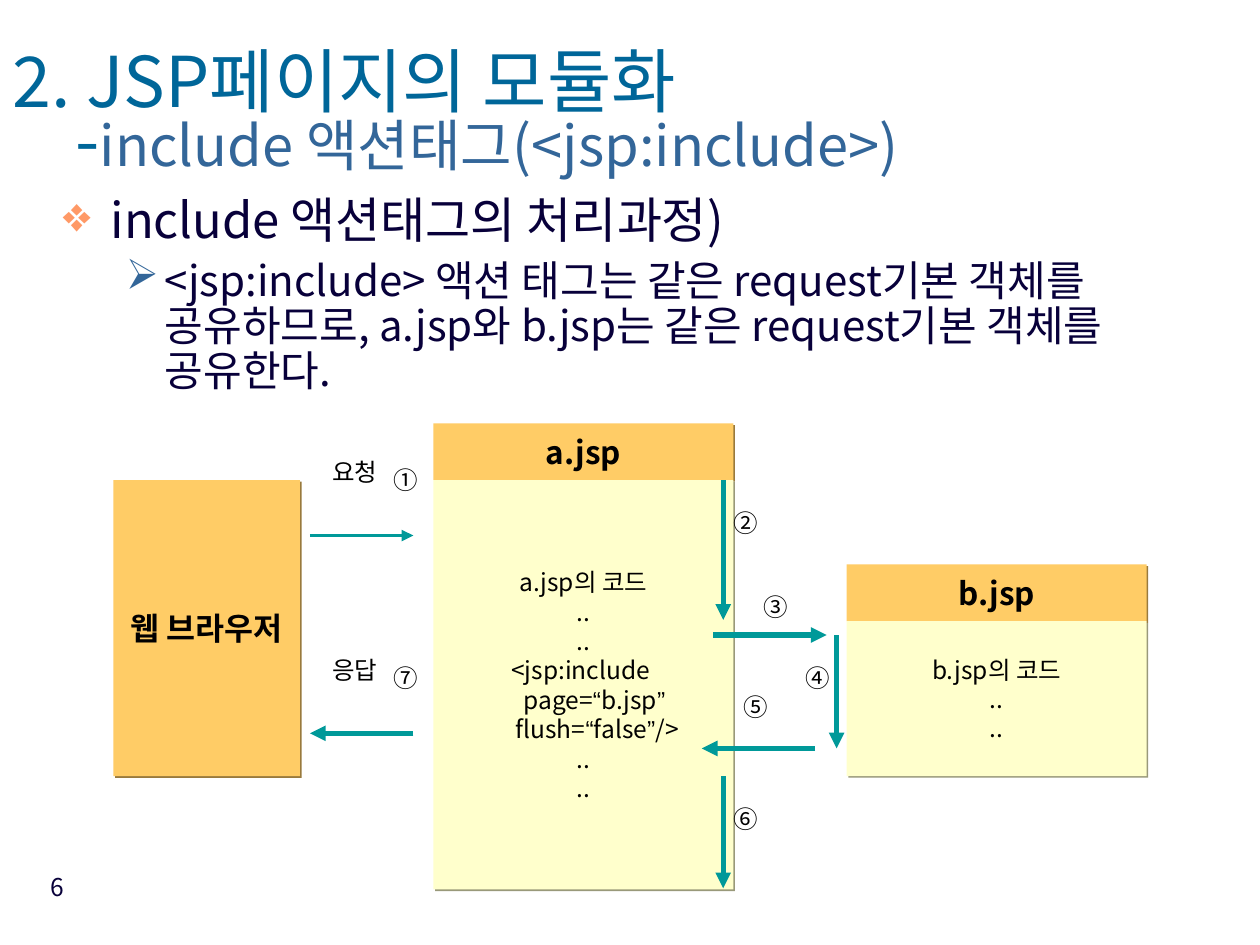
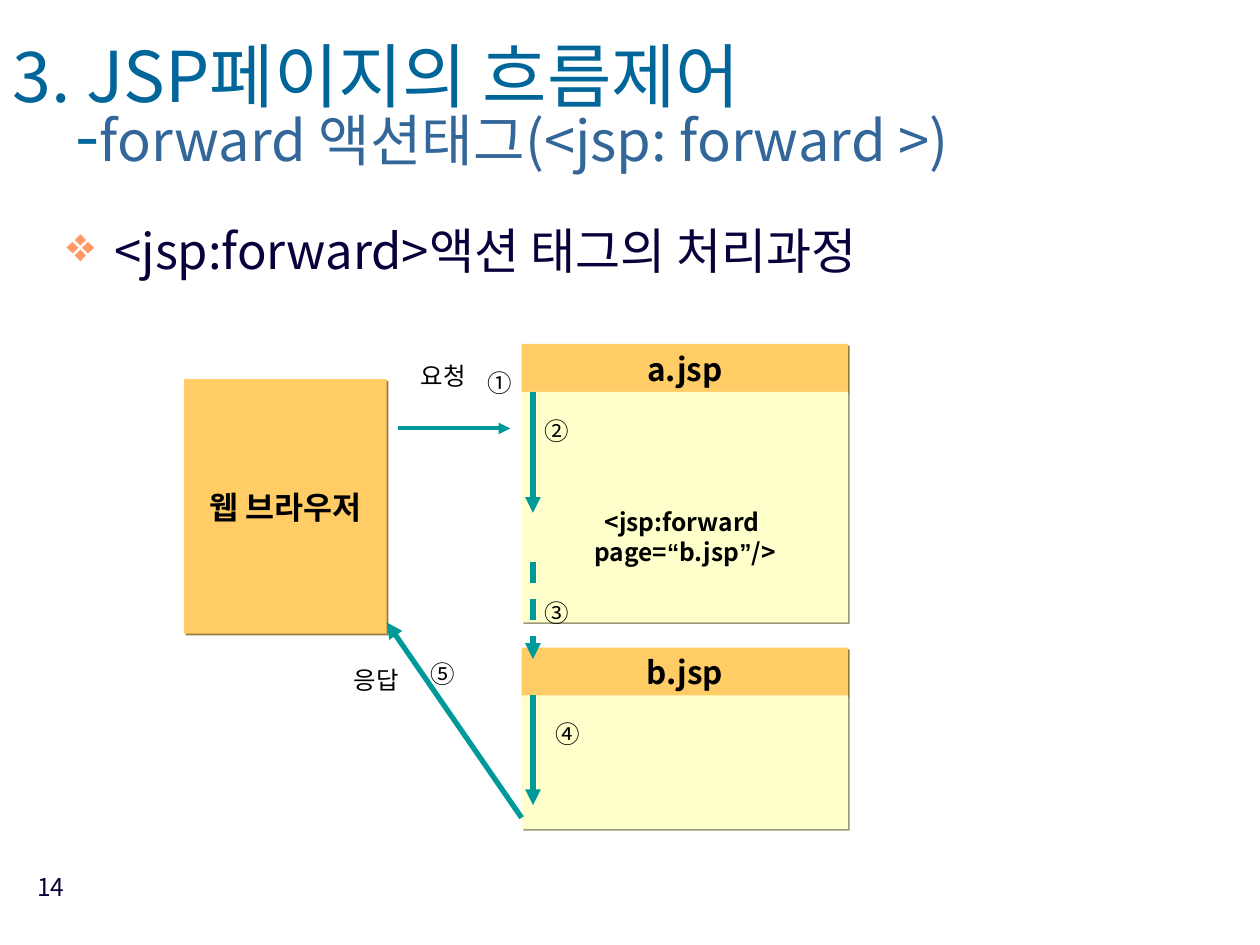
from itertools import groupby

from lxml import etree
from pptx import Presentation
from pptx.dml.color import RGBColor
from pptx.enum.dml import MSO_LINE
from pptx.enum.shapes import MSO_CONNECTOR, MSO_SHAPE
from pptx.enum.text import MSO_ANCHOR, MSO_AUTO_SIZE, PP_ALIGN
from pptx.oxml.ns import qn
from pptx.util import Inches, Pt

RECTANGLE = MSO_SHAPE.RECTANGLE
STRAIGHT = MSO_CONNECTOR.STRAIGHT
MIDDLE = MSO_ANCHOR.MIDDLE
CENTER, LEFT, RIGHT = PP_ALIGN.CENTER, PP_ALIGN.LEFT, PP_ALIGN.RIGHT
DASH = MSO_LINE.DASH
NO_AUTOFIT = MSO_AUTO_SIZE.NONE

FONT = "Noto Sans CJK KR"
QUOTE_FONT = "Arial"
TITLE_BLUE = RGBColor(0x00, 0x66, 0x99)
SUBTITLE_BLUE = RGBColor(0x33, 0x66, 0x99)
NAVY = RGBColor(0x08, 0x00, 0x3A)
BLACK = RGBColor(0x01, 0x00, 0x00)
TEAL = RGBColor(0x00, 0x99, 0x99)
BULLET_ORANGE = RGBColor(0xFF, 0x99, 0x66)
ORANGE = RGBColor(0xFF, 0xCC, 0x66)
CREAM = RGBColor(0xFF, 0xFF, 0xCC)
SHADOWS = {ORANGE: RGBColor(0x99, 0x7A, 0x3D), CREAM: RGBColor(0x99, 0x99, 0x7A)}

# Bullet levels: sign, sign colour, left margin, hanging indent, text size
BULLETS = [("❖", BULLET_ORANGE, 0.38, 0.38, 28), ("➢", SUBTITLE_BLUE, 0.81, 0.31, 24)]

# Boxes: left, top, width, height, fill, lines, extra space above the text
# Arrows: start, end, width in points, dashed
# Words and step numbers: text, left, top
PAGES = [
    {
        "number": "6",
        "title": ("2. JSP페이지의 모듈화", "include 액션태그(<jsp:include>)"),
        "title_height": 1.34,
        "body": (0.4, 1.51, 1.81, 0.9),
        "points": [
            "include 액션태그의 처리과정)",
            "<jsp:include> 액션 태그는 같은 request기본 객체를 공유하므로, "
            "a.jsp와 b.jsp는 같은 request기본 객체를 공유한다.",
        ],
        "code_bold": False,
        "boxes": [
            (0.9, 3.81, 1.48, 2.35, ORANGE, ["웹 브라우저"], 0),
            (3.44, 3.36, 2.38, 0.45, ORANGE, ["a.jsp"], 0),
            (3.44, 3.81, 2.38, 3.25, CREAM,
             ["a.jsp의 코드", "..", "..", "<jsp:include ", "     page=“b.jsp” ",
              "     flush=“false”/>", "..", ".."], 0),
            (6.72, 4.48, 2.38, 0.45, ORANGE, ["b.jsp"], 0),
            (6.72, 4.93, 2.38, 1.23, CREAM, ["b.jsp의 코드", "..", ".."], 0),
        ],
        "arrows": [
            ((2.46, 4.25), (3.28, 4.25), 2.25, False),
            ((3.28, 5.82), (2.46, 5.82), 3, False),
            ((5.74, 3.81), (5.74, 4.92), 3, False),
            ((5.66, 5.04), (6.56, 5.04), 3, False),
            ((6.47, 5.94), (5.57, 5.94), 3, False),
            ((6.64, 5.04), (6.64, 5.94), 3, False),
            ((5.74, 6.16), (5.74, 7.05), 3, False),
        ],
        "words": [("요청", 2.54, 3.58), ("응답", 2.54, 5.15)],
        "steps": [("①", 3.12, 3.69), ("②", 5.82, 4.03), ("③", 6.06, 4.7),
                  ("④", 6.39, 5.26), ("⑤", 5.9, 5.49), ("⑥", 5.82, 6.38),
                  ("⑦", 3.12, 5.26)],
    },
    {
        "number": "14",
        "title": ("3. JSP페이지의 흐름제어", "forward 액션태그(<jsp: forward >)"),
        "title_height": 1.26,
        "body": (0.43, 1.7, 0.79, 1.0),
        "points": ["<jsp:forward>액션 태그의 처리과정"],
        "code_bold": True,
        "boxes": [
            (1.46, 3.01, 1.61, 2.02, ORANGE, ["웹 브라우저"], 0),
            (4.14, 2.73, 2.59, 0.39, ORANGE, ["a.jsp"], 0),
            (4.14, 3.11, 2.59, 1.83, CREAM, ["<jsp:forward ", "page=“b.jsp”/>"], 0.47),
            (4.14, 5.14, 2.59, 0.39, ORANGE, ["b.jsp"], 0),
            (4.14, 5.52, 2.59, 1.06, CREAM, [], 0),
        ],
        "arrows": [
            ((3.16, 3.4), (4.05, 3.4), 2.25, False),
            ((4.23, 3.11), (4.23, 4.07), 3, False),
            ((4.14, 6.49), (3.07, 4.94), 3, False),
            ((4.23, 5.52), (4.23, 6.39), 3, False),
            ((4.23, 4.46), (4.23, 5.23), 3, True),
        ],
        "words": [("요청", 3.24, 2.82), ("응답", 2.71, 5.23)],
        "steps": [("①", 3.87, 2.92), ("②", 4.32, 3.3), ("③", 4.32, 4.75),
                  ("④", 4.41, 5.71), ("⑤", 3.42, 5.23)],
    },
]


def add_element(parent, tag, **attributes):
    element = etree.SubElement(parent, qn(tag))
    for name, value in attributes.items():
        element.set(name, str(value))
    return element


def write(paragraph, text, size=14, color=BLACK, bold=False, align=LEFT):
    """Add text to a paragraph, with curly quotes in their own font."""
    paragraph.alignment = align
    for is_quote, letters in groupby(text, key=lambda letter: letter in "“”"):
        span = paragraph.add_run()
        span.text = "".join(letters)
        span.font.size = Pt(size)
        span.font.bold = bold
        span.font.color.rgb = color
        span.font.name = QUOTE_FONT if is_quote else FONT
        add_element(span.font._element, "a:ea", typeface=span.font.name)


deck = Presentation()
deck.slide_width, deck.slide_height = Inches(10), Inches(7.5)

for content in PAGES:
    page = deck.slides.add_slide(deck.slide_layouts[5])

    # Title and page number
    title = page.shapes.title
    title.left, title.top = Inches(0), Inches(0.28)
    title.width, title.height = Inches(8.54), Inches(content["title_height"])
    title.text_frame.auto_size = NO_AUTOFIT
    title.text_frame.vertical_anchor = MIDDLE
    heading, subheading = content["title"]
    paragraph = title.text_frame.paragraphs[0]
    paragraph.line_spacing = 0.7
    write(paragraph, heading, size=40, color=TITLE_BLUE)
    line_break = add_element(paragraph._p, "a:br")
    add_element(line_break, "a:rPr", sz=4000)
    write(paragraph, "\t-", size=40, color=TITLE_BLUE)
    write(paragraph, subheading, size=32, color=SUBTITLE_BLUE)

    box = page.shapes.add_textbox(Inches(0.14), Inches(6.87), Inches(0.47), Inches(0.52))
    box.text_frame.word_wrap = True
    write(box.text_frame.paragraphs[0], content["number"], color=NAVY, align=RIGHT)

    # Bulleted points
    left, top, height, line_spacing = content["body"]
    body = page.shapes.add_textbox(Inches(left), Inches(top), Inches(9.21), Inches(height))
    frame = body.text_frame
    frame.word_wrap = True
    for level, point in enumerate(content["points"]):
        sign, sign_color, margin, hanging, size = BULLETS[level]
        paragraph = frame.add_paragraph() if level else frame.paragraphs[0]
        properties = paragraph._p.get_or_add_pPr()
        properties.set("marL", str(Inches(margin)))
        properties.set("indent", str(-Inches(hanging)))
        bullet_color = add_element(properties, "a:buClr")
        add_element(bullet_color, "a:srgbClr", val=sign_color)
        add_element(properties, "a:buChar", char=sign)
        paragraph.level = level
        paragraph.line_spacing = line_spacing
        if level:
            paragraph.space_before = Pt(6)
        write(paragraph, point, size=size, color=NAVY)

    # Browser and JSP boxes
    for left, top, width, height, fill, lines, space_above in content["boxes"]:
        box = page.shapes.add_shape(
            RECTANGLE, Inches(left), Inches(top), Inches(width), Inches(height))
        box.fill.solid()
        box.fill.fore_color.rgb = fill
        box.line.fill.background()
        box.shadow.inherit = False
        effects = box._element.spPr.find(qn("a:effectLst"))
        shadow = add_element(effects, "a:outerShdw", dist=Pt(1.4), dir=45 * 60000,
                             algn="ctr", rotWithShape=0)
        add_element(shadow, "a:srgbClr", val=SHADOWS[fill])
        frame = box.text_frame
        frame.word_wrap = False
        frame.vertical_anchor = MIDDLE
        frame.margin_top = Inches(0.05 + space_above)
        is_header = fill == ORANGE
        for index, line in enumerate(lines):
            paragraph = frame.add_paragraph() if index else frame.paragraphs[0]
            write(paragraph, line, size=18 if is_header else 14,
                  bold=is_header or content["code_bold"], align=CENTER)

    # Flow arrows
    for start, end, width, dashed in content["arrows"]:
        arrow = page.shapes.add_connector(
            STRAIGHT, *(Inches(value) for value in start + end))
        arrow.line.color.rgb = TEAL
        arrow.line.width = Pt(width)
        if dashed:
            arrow.line.dash_style = DASH
        properties = arrow._element.spPr
        add_element(properties.find(qn("a:ln")), "a:tailEnd", type="triangle")
        add_element(properties, "a:effectLst")

    # Words beside the arrows and step numbers
    for text, left, top in content["words"]:
        label = page.shapes.add_textbox(Inches(left), Inches(top), Inches(0.8), Inches(0.34))
        label.text_frame.word_wrap = True
        write(label.text_frame.paragraphs[0], text)
    for text, left, top in content["steps"]:
        label = page.shapes.add_textbox(Inches(left), Inches(top), Inches(0.25), Inches(0.23))
        frame = label.text_frame
        frame.word_wrap = True
        frame.margin_left = frame.margin_top = frame.margin_right = frame.margin_bottom = 0
        write(frame.paragraphs[0], text)

deck.save("out.pptx")
